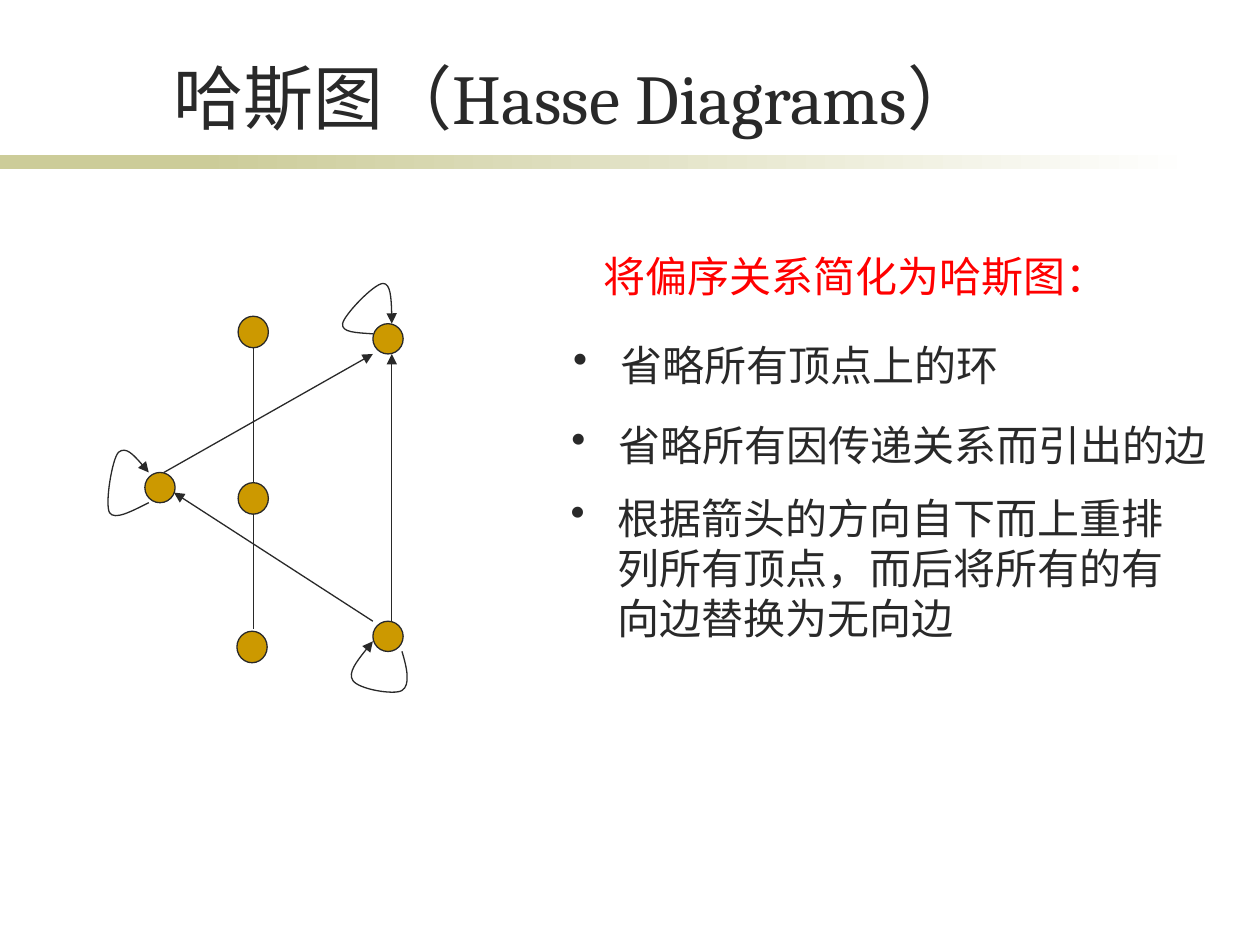
"""Build the Hasse diagram slide."""
from dataclasses import dataclass
from typing import Optional

from lxml.etree import SubElement
from pptx import Presentation
from pptx.dml.color import RGBColor
from pptx.enum.shapes import MSO_CONNECTOR, MSO_SHAPE
from pptx.enum.text import MSO_ANCHOR, MSO_AUTO_SIZE, PP_ALIGN
from pptx.oxml.ns import qn
from pptx.util import Pt

Point = tuple[float, float]


@dataclass(frozen=True)
class Theme:
    ink: str = "292929"
    red: str = "FF0000"
    node: str = "CC9900"
    bar: str = "CCCC99"
    paper: str = "FFFFFF"
    latin: str = "Cambria"
    cjk: str = "Noto Sans CJK SC"
    title: float = 40
    body: float = 24
    leading: float = 28.6
    indent: float = 27
    line: float = 0.75


@dataclass(frozen=True)
class Node:
    x: float
    y: float
    w: float = 17.3
    h: float = 17.3


@dataclass(frozen=True)
class Edge:
    start: Point
    end: Point
    arrow: bool = True


@dataclass(frozen=True)
class Note:
    text: str
    x: float
    y: float
    w: float
    h: float = 36.7
    color: str = "292929"
    bullet: bool = True
    wrap: bool = False
    align: Optional[PP_ALIGN] = None


T = Theme()

LOOPS: list[list[Point]] = [
    [(229.7, 372.2), (232.6, 381.6), (234.7, 391.7), (229.7, 394.6),
     (225.4, 397.4), (204.5, 393.8), (201.6, 388.8),
     (198.7, 384.5), (205.9, 375.1), (213.1, 366.5)],
    [(85, 287.3), (74.9, 292.3), (65.5, 297.4), (62.6, 293),
     (59.8, 288), (64.1, 262.1), (67.7, 258.5),
     (72, 254.9), (78.5, 262.1), (85, 270)],
    [(213.1, 190.8), (203.8, 190.1), (195.1, 190.1), (195.8, 185),
     (196.6, 180), (213.8, 162), (218.9, 162),
     (223.2, 162), (223.9, 173.5), (223.9, 185)],
]
DIGRAPH_NODES = [Node(213.1, 355), Node(82.8, 270), Node(213.1, 185)]
DIGRAPH_EDGES = [
    Edge((213.1, 355), (99.4, 281.5)),
    Edge((93.6, 270), (213.1, 202.3)),
    Edge((223.9, 355), (223.9, 202.3)),
]
HASSE_NODES = [Node(135.4, 360.7, h=18), Node(136.1, 275.8, h=18), Node(136.1, 180.7, h=18)]
HASSE_EDGES = [
    Edge((144.7, 359.3), (144.7, 293.8), False),
    Edge((144.7, 275.8), (144.7, 198), False),
]
NOTES = [
    Note("将偏序关系简化为哈斯图：", 337.7, 139.7, 305.3, color=T.red, bullet=False),
    Note("省略所有顶点上的环", 319, 190.8, 260, align=PP_ALIGN.CENTER),
    Note("省略所有因传递关系而引出的边", 317.5, 236.2, 380.9, align=PP_ALIGN.CENTER),
    Note("根据箭头的方向自下而上重排列所有顶点，而后将所有的有向边替换为无向边",
         319, 277.9, 353.5, 94.3, wrap=True),
]


def rgb(color: str) -> RGBColor:
    """Turn a hex string into a colour."""
    return RGBColor.from_string(color)


def style_line(sp, arrow: bool = False) -> None:
    """Give a shape or connector the thin ink line."""
    sp.line.color.rgb = rgb(T.ink)
    sp.line.width = Pt(T.line)
    if arrow:
        SubElement(sp.line._get_or_add_ln(), qn("a:tailEnd"), type="triangle")


def style_runs(p, size: float, latin: str, color: str) -> None:
    """Format every run of a paragraph."""
    for r in p.runs:
        r.font.size = Pt(size)
        r.font.name = latin
        r.font.color.rgb = rgb(color)
        SubElement(r._r.get_or_add_rPr(), qn("a:ea"), typeface=T.cjk)


def add_bar(s, x: float, w: float, fade: bool = False) -> None:
    """Draw one part of the band below the title."""
    sp = s.shapes.add_shape(MSO_SHAPE.RECTANGLE, Pt(x), Pt(88.6), Pt(w), Pt(7.9))
    sp.shadow.inherit = False
    sp.line.fill.background()
    if not fade:
        sp.fill.solid()
        sp.fill.fore_color.rgb = rgb(T.bar)
        return
    sp.fill.gradient()
    sp.fill.gradient_angle = 0
    for stop, color in zip(sp.fill.gradient_stops, (T.bar, T.paper)):
        stop.color.rgb = rgb(color)


def add_title(s, text: str) -> None:
    """Place and format the title placeholder."""
    sp = s.shapes.title
    sp.left, sp.top, sp.width, sp.height = Pt(82.1), Pt(37.4), Pt(493.2), Pt(45.4)
    tf = sp.text_frame
    tf.text = text
    tf.word_wrap = True
    tf.auto_size = MSO_AUTO_SIZE.NONE
    tf.vertical_anchor = MSO_ANCHOR.BOTTOM
    p = tf.paragraphs[0]
    p.alignment = PP_ALIGN.CENTER
    style_runs(p, T.title, T.latin, T.ink)


def add_node(s, node: Node) -> None:
    """Draw a vertex."""
    sp = s.shapes.add_shape(MSO_SHAPE.OVAL, Pt(node.x), Pt(node.y), Pt(node.w), Pt(node.h))
    sp.shadow.inherit = False
    sp.fill.solid()
    sp.fill.fore_color.rgb = rgb(T.node)
    style_line(sp)


def add_edge(s, edge: Edge) -> None:
    """Draw an edge between two vertices."""
    ends = [Pt(v) for v in (*edge.start, *edge.end)]
    sp = s.shapes.add_connector(MSO_CONNECTOR.STRAIGHT, *ends)
    style_line(sp, edge.arrow)
    SubElement(sp._element.spPr, qn("a:effectLst"))


def add_loop(s, points: list[Point]) -> None:
    """Draw a self-loop as Bezier curves through triples of points."""
    start, *rest = [(Pt(x), Pt(y)) for x, y in points]
    fb = s.shapes.build_freeform(*start, scale=1.0)
    fb.add_line_segments(rest, close=False)
    sp = fb.convert_to_shape()
    path = next(sp._element.iter(qn("a:path")))
    segments = path.findall(qn("a:lnTo"))
    for i in range(0, len(segments), 3):
        curve = SubElement(path, qn("a:cubicBezTo"))
        for segment in segments[i:i + 3]:
            curve.append(segment[0])
            path.remove(segment)
    sp.shadow.inherit = False
    sp.fill.background()
    style_line(sp, arrow=True)


def add_note(s, note: Note) -> None:
    """Write one line of the explanation."""
    sp = s.shapes.add_textbox(Pt(note.x), Pt(note.y), Pt(note.w), Pt(note.h))
    tf = sp.text_frame
    tf.text = note.text
    tf.word_wrap = note.wrap
    p = tf.paragraphs[0]
    p.alignment = note.align
    p.line_spacing = Pt(T.leading)
    if note.bullet:
        pPr = p._p.get_or_add_pPr()
        pPr.set("marL", str(Pt(T.indent)))
        pPr.set("indent", str(-Pt(T.indent)))
        SubElement(pPr, qn("a:buChar"), char="•")
    style_runs(p, T.body, T.cjk, note.color)


def main() -> None:
    """Assemble and save the slide."""
    prs = Presentation()
    prs.slide_width, prs.slide_height = Pt(720), Pt(540)
    s = prs.slides.add_slide(prs.slide_layouts[5])
    add_bar(s, 0, 167.8)
    add_bar(s, 113.8, 570.2, fade=True)
    add_title(s, "哈斯图（Hasse Diagrams）")
    for draw, items in ((add_loop, LOOPS), (add_node, DIGRAPH_NODES),
                        (add_edge, DIGRAPH_EDGES), (add_note, NOTES),
                        (add_node, HASSE_NODES), (add_edge, HASSE_EDGES)):
        for item in items:
            draw(s, item)
    prs.save("out.pptx")


if __name__ == "__main__":
    main()
